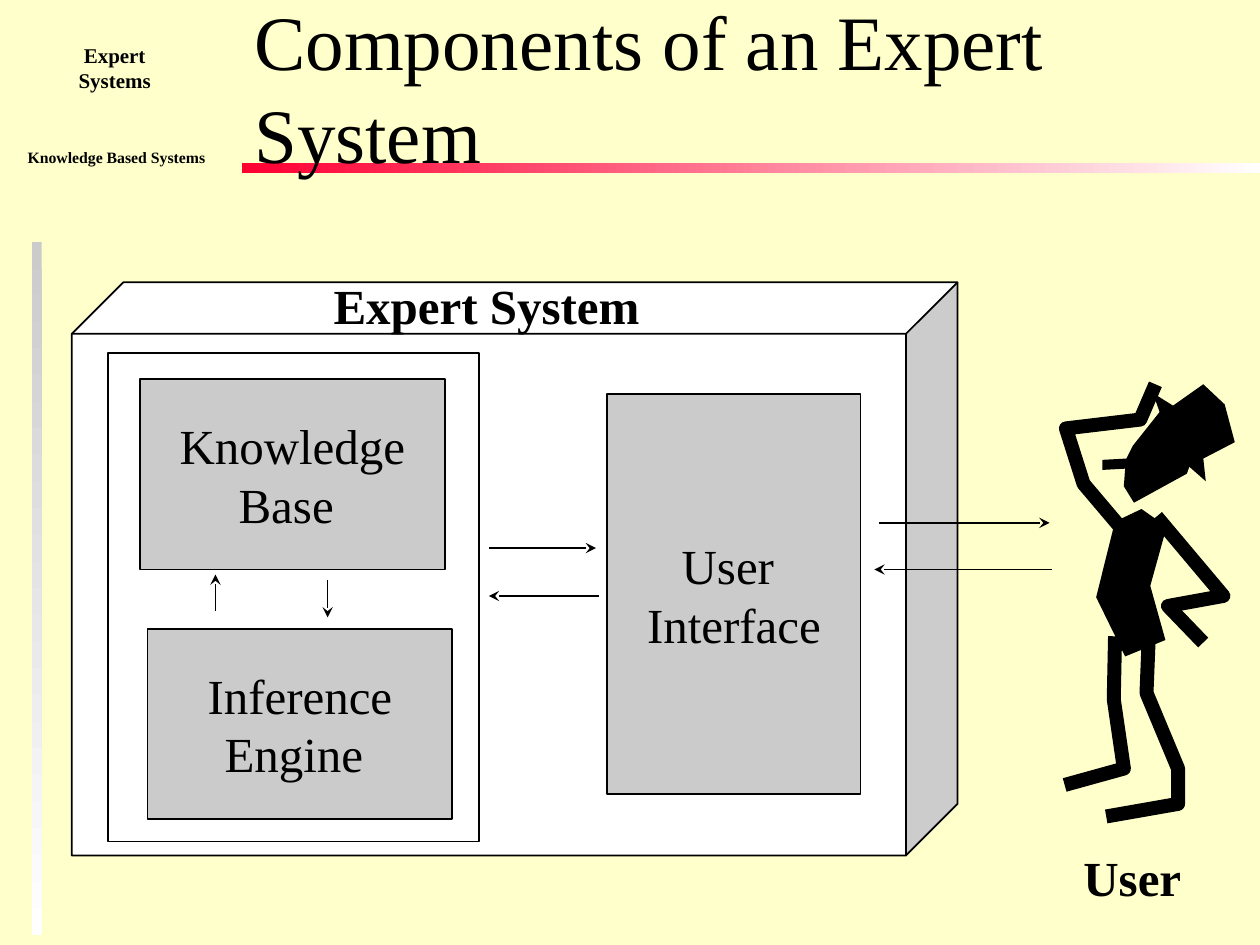
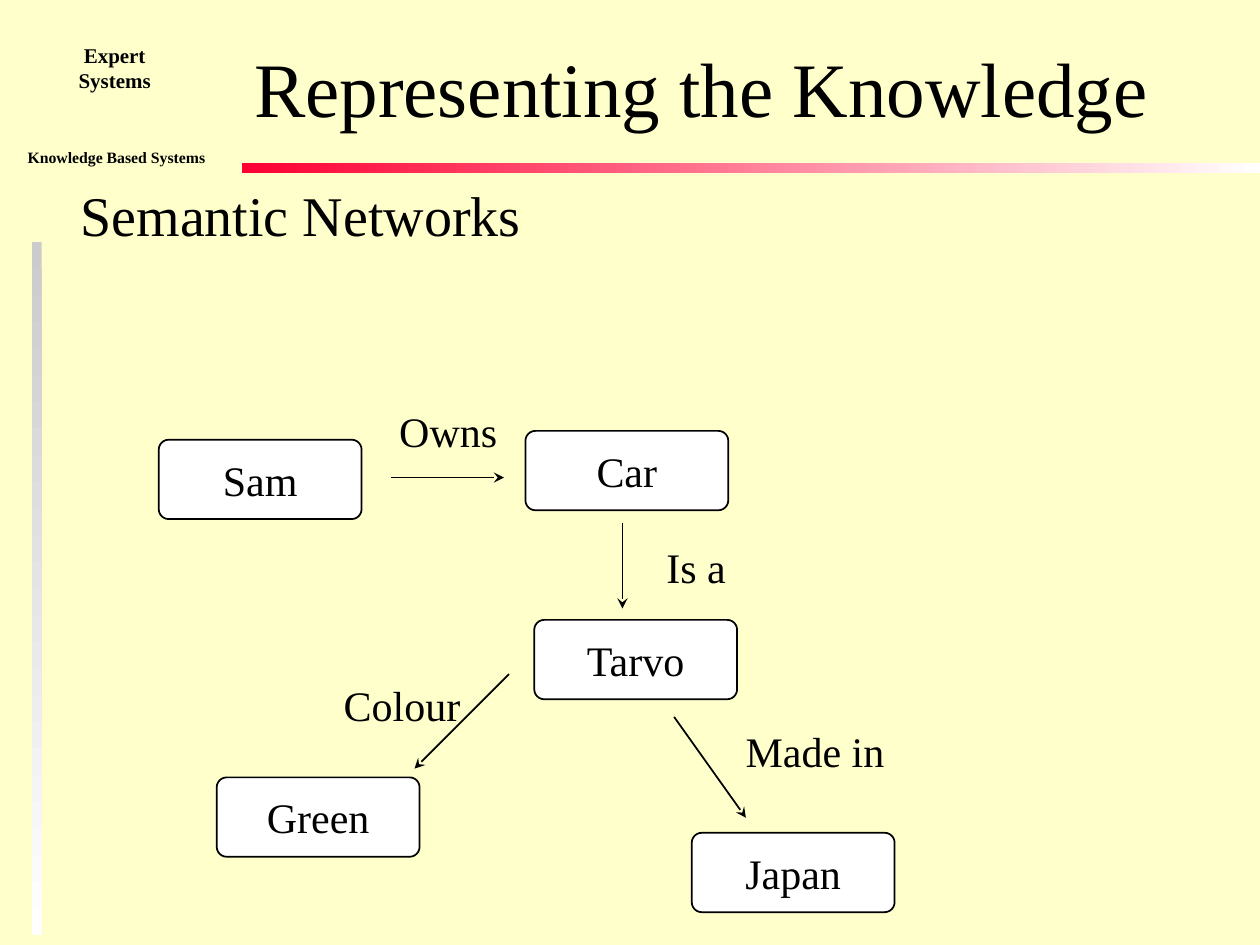
from dataclasses import dataclass

from lxml.etree import SubElement
from pptx import Presentation
from pptx.dml.color import RGBColor
from pptx.enum.shapes import MSO_CONNECTOR, MSO_SHAPE
from pptx.enum.text import MSO_ANCHOR, PP_ALIGN
from pptx.oxml.ns import qn
from pptx.util import Inches, Pt

# The slide is a grid of 100 columns and 75 rows of square cells
COLUMNS, ROWS = 100, 75
CELL = Inches(0.1)
FONT = "Times New Roman"
BLACK, WHITE, GREY = "000000", "FFFFFF", "CBCBCB"
CREAM, RED = "FFFFCC", "FF0033"


@dataclass
class Box:
    """A region of the grid, measured in cells."""
    left: float
    top: float
    width: float
    height: float

    def inside(self, left, top, width, height):
        return Box(self.left + left, self.top + top, width, height)

    def point(self, column, row):
        return cells(self.left + column), cells(self.top + row)

    def lengths(self):
        return [cells(n) for n in (self.left, self.top, self.width, self.height)]


def cells(count):
    return round(count * CELL)


def colour(value):
    return RGBColor.from_string(value)


# Basic parts
def write(shape, text, size=24, bold=False, align=PP_ALIGN.LEFT,
          anchor=MSO_ANCHOR.TOP, wrap=False):
    frame = shape.text_frame
    frame.word_wrap = wrap
    frame.vertical_anchor = anchor
    frame.text = text
    for paragraph in frame.paragraphs:
        paragraph.alignment = align
        font = paragraph.font
        font.name, font.size, font.bold = FONT, Pt(size), bold
        font.color.rgb = colour(BLACK)


def add_label(slide, box, text, **text_format):
    write(slide.shapes.add_textbox(*box.lengths()), text, **text_format)


def paint(shape, fill=None, line_width=None):
    shape.shadow.inherit = False
    if fill:
        shape.fill.solid()
        shape.fill.fore_color.rgb = colour(fill)
    else:
        shape.fill.background()
    if line_width:
        shape.line.color.rgb = colour(BLACK)
        shape.line.width = Pt(line_width)
    else:
        shape.line.fill.background()


def add_block(slide, box, fill=WHITE, kind=MSO_SHAPE.RECTANGLE, rounding=None,
              text=None, size=28):
    shape = slide.shapes.add_shape(kind, *box.lengths())
    paint(shape, fill, line_width=1)
    if rounding is not None:
        shape.adjustments[0] = rounding
    if text:
        write(shape, text, size=size, align=PP_ALIGN.CENTER,
              anchor=MSO_ANCHOR.MIDDLE)


def add_fading_bar(slide, box, start, angle):
    bar = slide.shapes.add_shape(MSO_SHAPE.RECTANGLE, *box.lengths())
    paint(bar)
    bar.fill.gradient()
    bar.fill.gradient_angle = angle
    for stop, value in zip(bar.fill.gradient_stops, (start, WHITE)):
        stop.color.rgb = colour(value)


def add_arrow(slide, box, start, end):
    arrow = slide.shapes.add_connector(
        MSO_CONNECTOR.STRAIGHT, *box.point(*start), *box.point(*end))
    arrow.line.color.rgb = colour(BLACK)
    arrow.line.width = Pt(1)
    properties = arrow.line._get_or_add_ln()
    SubElement(properties, qn("a:tailEnd"), type="stealth")
    SubElement(properties.getparent(), qn("a:effectLst"))


def add_outline(slide, box, points, closed):
    """Points are in tenths of a cell from the corner of the box."""
    builder = slide.shapes.build_freeform(*points[0], scale=CELL / 10)
    builder.add_line_segments(points[1:], close=closed)
    return builder.convert_to_shape(*box.point(0, 0))


# Shared frame: bars, course name and title
def add_framed_slide(presentation, title):
    slide = presentation.slides.add_slide(presentation.slide_layouts[6])
    add_fading_bar(slide, Box(19.2, 12.9, 80.8, 0.8), RED, 0)
    add_fading_bar(slide, Box(2.5, 19.2, 0.8, 55), GREY, 270)
    add_label(slide, Box(1.2, 11.2, 16.1, 2.5), "Knowledge Based Systems",
              size=9, bold=True)
    add_label(slide, Box(1.5, 2.9, 15.2, 5), "Expert\nSystems", size=12,
              bold=True, align=PP_ALIGN.CENTER, wrap=True)
    add_label(slide, Box(19.2, 3.3, 78.1, 7.1), title, size=44,
              anchor=MSO_ANCHOR.MIDDLE, wrap=True)
    return slide


# Components slide
SYSTEM_BLOCKS = [
    ("User \nInterface", (42.5, 8.9, 20.1, 31.7)),
    ("Knowledge\nBase ", (5.4, 7.7, 24.2, 15.1)),
    ("Inference\nEngine ", (6, 27.5, 24.2, 15.1)),
]
SYSTEM_ARROWS = [
    ((64.1, 19.1), (77.6, 19.1)),  # interface to user
    ((77.8, 22.8), (63.7, 22.8)),
    ((33.1, 21.1), (41.6, 21.1)),  # knowledge to interface
    ((41.8, 24.9), (33.1, 24.9)),
    ((11.4, 26.1), (11.4, 23.2)),  # engine to base
    ((20.3, 23.6), (20.3, 26.6)),
]
USER_SOLIDS = {
    "head": [(99, 54), (122, 25), (155, 40), (142, 76), (100, 99),
             (92, 86), (93, 72), (75, 73), (75, 65), (94, 64)],
    "hat": [(132, 60), (115, 12), (131, 22), (155, 5), (172, 21),
            (180, 51), (155, 64), (157, 82)],
    "body": [(85, 114), (106, 104), (126, 118), (113, 165), (125, 208),
             (93, 221), (70, 174)],
}
USER_LIMBS = {
    "raised arm": [(88, 117), (60, 84), (46, 40), (105, 33), (117, 5)],
    "arm on hip": [(118, 110), (171, 173), (127, 181), (155, 210)],
    "right leg": [(112, 200), (110, 250), (135, 310), (135, 338), (78, 348)],
    "left leg": [(85, 205), (84, 255), (92, 310), (45, 323)],
}
LIMB_WIDTH = 8


def draw_system(slide, box):
    add_block(slide, box, kind=MSO_SHAPE.CUBE, rounding=0.09)
    add_label(slide, box.inside(19.8, -1, 26.3, 5.7), "Expert System",
              size=28, bold=True)
    add_block(slide, box.inside(2.9, 5.6, 29.4, 38.8))
    for text, place in SYSTEM_BLOCKS:
        add_block(slide, box.inside(*place), GREY, text=text)
    for start, end in SYSTEM_ARROWS:
        add_arrow(slide, box, start, end)


def draw_user(slide, box):
    for points in USER_SOLIDS.values():
        paint(add_outline(slide, box, points, closed=True), BLACK)
    for points in USER_LIMBS.values():
        paint(add_outline(slide, box, points, closed=False),
              line_width=LIMB_WIDTH)
    add_label(slide, box.inside(5, 36.8, 9.8, 5.7), "User", size=28, bold=True)


def build_components(presentation):
    slide = add_framed_slide(presentation, "Components of an Expert System")
    draw_user(slide, Box(80, 30, 20, 45))
    draw_system(slide, Box(5.7, 22.4, 70.3, 45.5))


# Semantic network slide
NODES = {
    "Sam": (0, 3.2),
    "Tarvo": (29.8, 17.5),
    "Green": (4.6, 30),
    "Japan": (42.3, 34.4),
    "Car": (29.1, 2.5),
}
# Relation: label place and width, arrow start, arrow end
RELATIONS = {
    "Owns": ((18.1, 0, 9.8), (18.4, 6.2), (27.4, 6.2)),
    "Is a": ((39.3, 10.8, 6.7), (36.8, 9.8), (36.8, 16.6)),
    "Made in": ((45.6, 25.4, 13), (40.9, 25.2), (46.6, 33.2)),
    "Colour": ((13.7, 21.7, 11.3), (27.8, 21.8), (20.3, 29.3)),
}


def draw_network(slide, box):
    for name, corner in NODES.items():
        add_block(slide, box.inside(*corner, 16.1, 6.3), text=name, size=24,
                  kind=MSO_SHAPE.ROUNDED_RECTANGLE, rounding=1 / 8)
    for name, (place, start, end) in RELATIONS.items():
        add_arrow(slide, box, start, end)
        add_label(slide, box.inside(*place, 5), name)


def build_network(presentation):
    slide = add_framed_slide(presentation, "Representing the Knowledge")
    add_label(slide, Box(5.4, 13.8, 91.2, 58.7), "Semantic Networks",
              size=32, wrap=True)
    draw_network(slide, Box(12.6, 31.7, 58.4, 40.7))


def main():
    presentation = Presentation()
    presentation.slide_width = cells(COLUMNS)
    presentation.slide_height = cells(ROWS)
    background = presentation.slide_master.background.fill
    background.solid()
    background.fore_color.rgb = colour(CREAM)
    build_components(presentation)
    build_network(presentation)
    presentation.save("out.pptx")


if __name__ == "__main__":
    main()
